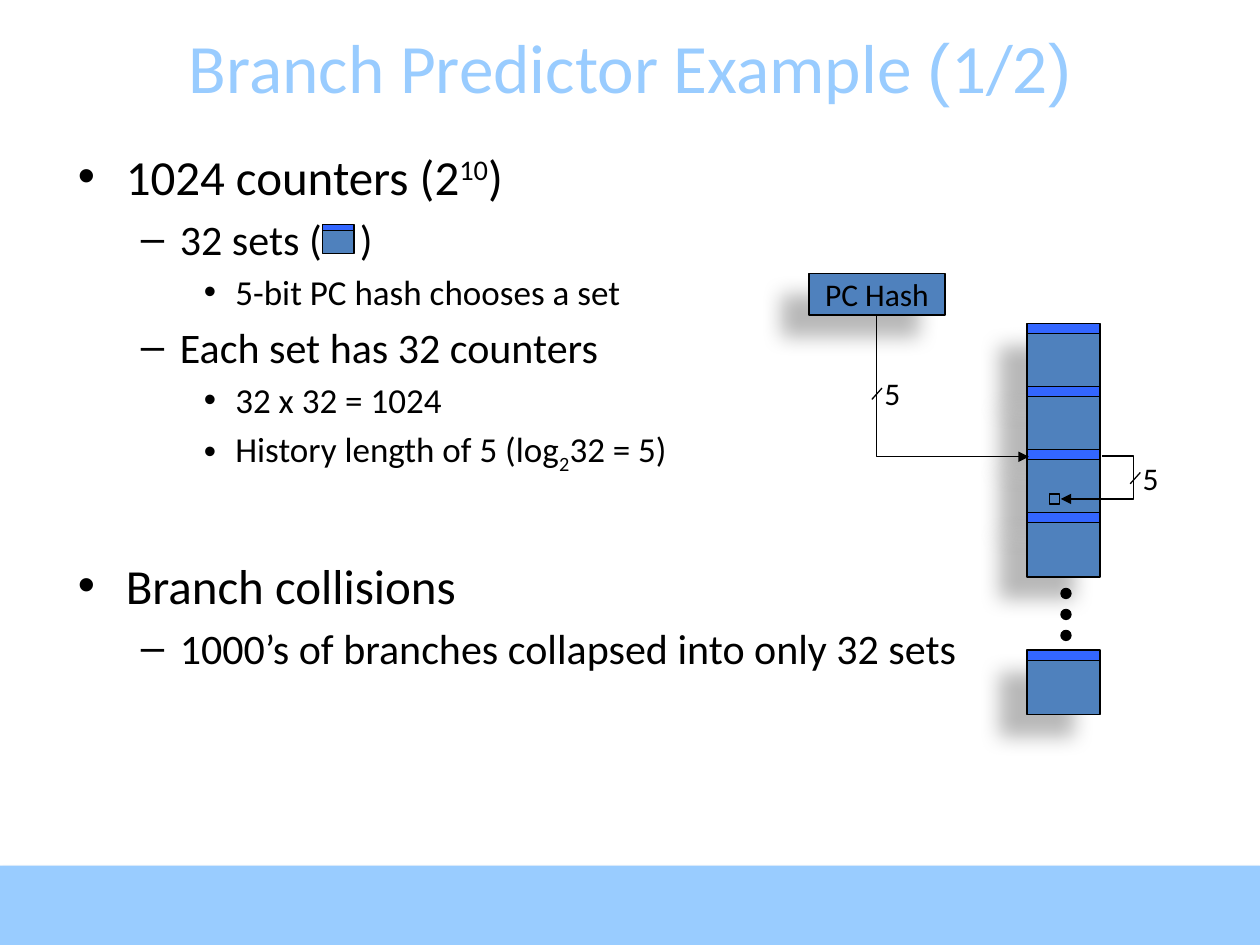
from lxml import etree
from pptx import Presentation
from pptx import util as u
from pptx.dml.color import RGBColor
from pptx.enum import shapes, text
from pptx.oxml import ns

Inches, Pt = u.Inches, u.Pt
BLACK, BLUE, STRIPE, SKY = "000000", "4F81BD", "3366FF", "99CCFF"
BLOCK_SHADOW = (28, 11.8, 19.7, 141)  # opacity %, blur pt, distance pt, angle
BAND_SHADOW = (35, 3.1, 1.8, 90)
# size, left margin, hanging indent and bullet of each outline level
LEVELS = [(28, 0.38, 0.38, "•"), (24, 0.81, 0.31, "–"), (20, 1.25, 0.25, "•")]


def colour(value):
    return RGBColor.from_string(value)


def add_element(parent, tag, **attributes):
    return etree.SubElement(parent, ns.qn(tag), {key: str(value) for key, value in attributes.items()})


class Canvas:
    """Holds the style and the current slide."""

    font = "Calibri"
    line_width = Pt(0.75)

    def __init__(self, slide):
        self.slide = slide

    def style_run(self, run, size, fill=BLACK, font=None, **attributes):
        run.font.name = font or self.font
        run.font.size = Pt(size)
        run.font.color.rgb = colour(fill)
        for key, value in attributes.items():
            run._r.get_or_add_rPr().set(key, str(value))

    def shape(self, left, top, width, height, fill=BLUE, kind=shapes.MSO_SHAPE.RECTANGLE,
              outline=True, shadow=None, parent=None):
        shape = (parent or self.slide).shapes.add_shape(
            kind, Inches(left), Inches(top), Inches(width), Inches(height))
        shape.fill.solid()
        shape.fill.fore_color.rgb = colour(fill)
        if outline:
            shape.line.color.rgb = colour(BLACK)
            shape.line.width = self.line_width
        else:
            shape.line.fill.background()
        shape.shadow.inherit = False
        if shadow:
            opacity, blur, distance, angle = shadow
            effects = shape._element.spPr.find(ns.qn("a:effectLst"))
            outer = add_element(effects, "a:outerShdw", blurRad=Pt(blur), dist=Pt(distance),
                                dir=angle * 60000, algn="ctr", rotWithShape=0)
            add_element(add_element(outer, "a:srgbClr", val=BLACK), "a:alpha", val=opacity * 1000)
        return shape

    def counter_set(self, left, top, width, height, stripe_height, lift, **options):
        """Draw a set: a block with a stripe along its top edge."""
        self.shape(left, top, width, height, **options)
        self.shape(left, top - lift, width, stripe_height, STRIPE, parent=options.get("parent"))

    def text_box(self, left, top, width, height, wrap=True):
        box = self.slide.shapes.add_textbox(Inches(left), Inches(top), Inches(width), Inches(height))
        box.text_frame.word_wrap = wrap
        return box.text_frame

    def label(self, left, top, wording):
        frame = self.text_box(left, top, 0.33, 0.4, wrap=False)
        frame.auto_size = text.MSO_AUTO_SIZE.SHAPE_TO_FIT_TEXT
        frame.text = wording
        self.style_run(frame.paragraphs[0].runs[0], 18)

    def connector(self, start, end, kind=shapes.MSO_CONNECTOR.STRAIGHT, arrow=False):
        connector = self.slide.shapes.add_connector(kind, *map(Inches, start + end))
        connector.line.color.rgb = colour(BLACK)
        connector.line.width = self.line_width
        add_element(connector._element.spPr, "a:effectLst")
        if arrow:
            add_element(connector.line._get_or_add_ln(), "a:tailEnd", type="triangle")
        return connector

    def bus_width(self, left, top, wording):
        """Draw the slash across a bus and the number of its bits."""
        self.connector((left, top + 0.25), (left + 0.08, top + 0.16))
        self.label(left, top, wording)

    def outline(self, frame, items):
        """Fill a frame with (level, extra space, pieces); a piece is (wording, run attributes)."""
        for index, (level, extra, pieces) in enumerate(items):
            size, margin, hanging, bullet = LEVELS[level]
            paragraph = frame.paragraphs[0] if index == 0 else frame.add_paragraph()
            paragraph.level = level
            if index:
                paragraph.space_before = Pt(size * 0.2 + extra)
            properties = paragraph._p.get_or_add_pPr()
            properties.set("marL", str(Inches(margin)))
            properties.set("indent", str(-Inches(hanging)))
            add_element(properties, "a:buFont", typeface="Arial")
            add_element(properties, "a:buChar", char=bullet)
            for wording, attributes in pieces:
                run = paragraph.add_run()
                run.text = wording
                self.style_run(run, size, **attributes)


def main():
    presentation = Presentation()
    presentation.slide_width, presentation.slide_height = Inches(10), Inches(7.5)
    slide = presentation.slides.add_slide(presentation.slide_layouts[6])
    canvas = Canvas(slide)

    canvas.shape(0, 6.87, 10, 0.63, SKY, outline=False, shadow=BAND_SHADOW)

    title = canvas.text_box(0, 0.21, 10, 0.63)
    title.vertical_anchor = text.MSO_ANCHOR.MIDDLE
    heading = title.paragraphs[0]
    heading.alignment = text.PP_ALIGN.CENTER
    for wording, font in [("Branch Predictor Example ", None), ("(", "Arial"), ("1/2", None), (")", "Arial")]:
        run = heading.add_run()
        run.text = wording
        canvas.style_run(run, 39.6, SKY, font)

    canvas.outline(canvas.text_box(0.52, 1.11, 9, 5.56), [
        (0, 0, [("1024 counters (2", {}), ("10", {"baseline": 30000}), (")", {})]),
        # the widened space leaves room for the set icon
        (1, 0, [("32 sets (", {}), (" ", {"spc": 1630}), (")", {})]),
        (2, 0, [("5-bit PC hash chooses a set", {})]),
        (1, 0, [("Each set has 32 counters", {})]),
        (2, 0, [("32 x 32 = 1024", {})]),
        (2, 0, [("History length of 5 (log", {}), ("2", {"baseline": -25000}), ("32 = 5)", {})]),
        (0, 40, [("Branch collisions", {})]),
        (1, 0, [("1000’s of branches collapsed into only 32 sets", {})]),
    ])
    icon = slide.shapes.add_group_shape()
    canvas.counter_set(2.56, 1.8, 0.25, 0.21, 0.05, 0.02, parent=icon)

    for top in [2.58, 3.08, 3.58, 4.08, 5.17]:
        canvas.counter_set(8.15, top, 0.58, 0.5, 0.08, 0.01, shadow=BLOCK_SHADOW)
    canvas.shape(8.33, 3.92, 0.08, 0.08)
    for index in range(3):
        canvas.shape(8.42, 4.67 + index / 6, 0.08, 0.08, BLACK, shapes.MSO_SHAPE.OVAL)

    pc_hash = canvas.shape(6.42, 2.17, 1.08, 0.33, shadow=BLOCK_SHADOW).text_frame
    pc_hash.word_wrap = False
    pc_hash.vertical_anchor = text.MSO_ANCHOR.MIDDLE
    pc_hash.text = "PC Hash"
    pc_hash.paragraphs[0].alignment = text.PP_ALIGN.CENTER
    canvas.style_run(pc_hash.paragraphs[0].runs[0], 18)

    elbow = shapes.MSO_CONNECTOR.ELBOW
    # a single bend, turned so that it runs down and then right
    set_choice = canvas.connector((8.12, 2.46), (7, 3.67), elbow, arrow=True)
    set_choice._element.spPr.prstGeom.set("prst", "bentConnector2")
    set_choice._element.spPr.xfrm.set("rot", str(270 * 60000))
    canvas.bus_width(6.92, 2.92, "5")

    # the bend lies outside the ends, to the right of the set
    counter_choice = canvas.connector((8.75, 3.62), (8.42, 3.96), elbow, arrow=True)
    guides = counter_choice._element.spPr.prstGeom.get_or_add_avLst()
    add_element(guides, "a:gd", name="adj1", fmla="val -75000")
    canvas.bus_width(8.97, 3.59, "5")

    presentation.save("out.pptx")


if __name__ == "__main__":
    main()
